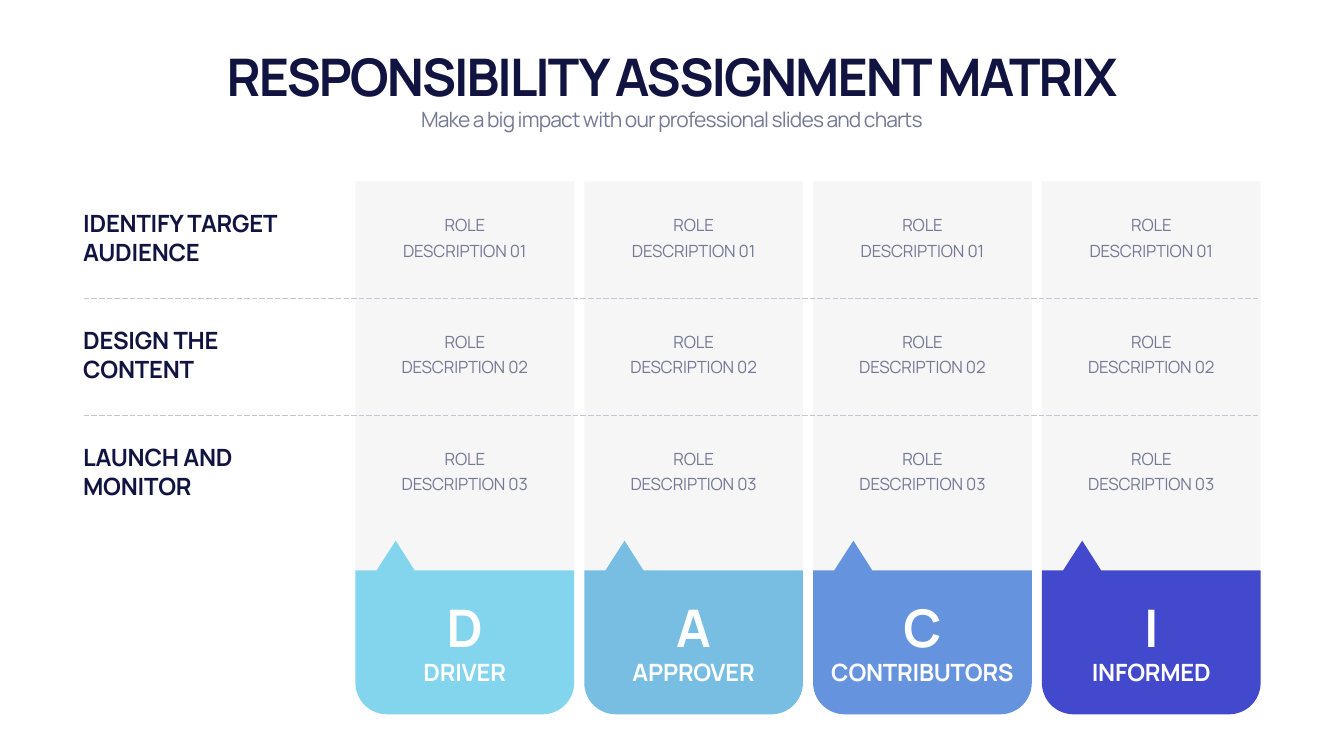
import math

import pptx
import pptx.dml.color
import pptx.enum.dml
import pptx.enum.shapes
import pptx.enum.text
import pptx.oxml
import pptx.oxml.ns
import pptx.util
from pptx.util import Cm

ALIGN = pptx.enum.text.PP_ALIGN
ANCHOR = pptx.enum.text.MSO_ANCHOR

COLORS = {
    "navy": "111340",
    "slate": "747994",
    "grey": "C3C8CE",
    "white": "FFFFFF",
    "driver": "83D5ED",
    "approver": "78BEE3",
    "contributors": "6593DE",
    "informed": "4349CC",
}
ROLES = ["DRIVER", "APPROVER", "CONTRIBUTORS", "INFORMED"]
TASKS = ["IDENTIFY TARGET AUDIENCE", "DESIGN THE CONTENT", "LAUNCH AND MONITOR"]

COLUMN_LEFT, COLUMN_PITCH, COLUMN_WIDTH = 17.91, 11.53, 11.02
PANEL_TOP, PANEL_HEIGHT = 9.14, 19.62
ROW_TOP, ROW_PITCH, ROW_HEIGHT = 10.39, 5.89, 3.18
CARD_TOP, CARD_HEIGHT = 27.25, 8.75


def rgb(name):
    return pptx.dml.color.RGBColor.from_string(COLORS[name])


def write(shape, text, size, color, bold=False, spacing=0.0, align=ALIGN.CENTER,
          anchor=ANCHOR.MIDDLE, line_spacing=None):
    """Fill a shape with one formatted paragraph; spacing is in points."""
    frame = shape.text_frame
    frame.word_wrap = True
    frame.auto_size = pptx.enum.text.MSO_AUTO_SIZE.NONE
    frame.vertical_anchor = anchor
    paragraph = frame.paragraphs[0]
    run = paragraph.add_run()
    run.text = text
    run._r.get_or_add_rPr().set("spc", str(round(spacing * 100)))
    paragraph.alignment = align
    if line_spacing:
        paragraph.line_spacing = pptx.util.Pt(line_spacing)
    paragraph.font.name = "Manrope"
    paragraph.font.size = pptx.util.Pt(size)
    paragraph.font.bold = bold
    paragraph.font.color.rgb = rgb(color)


def add_text(slide, left, top, width, height, text, size, color, **style):
    box = slide.shapes.add_textbox(Cm(left), Cm(top), Cm(width), Cm(height))
    write(box, text, size, color, **style)


def paint(shape, color):
    shape.shadow.inherit = False
    shape.fill.solid()
    shape.fill.fore_color.rgb = rgb(color)
    shape.line.fill.background()


def add_heading(slide, left, top, width):
    title = slide.shapes.title
    title.left, title.top, title.width, title.height = (
        Cm(left), Cm(top), Cm(width), Cm(3.43))
    write(title, "RESPONSIBILITY ASSIGNMENT MATRIX", 74, "navy", bold=True,
          spacing=-2.9, anchor=ANCHOR.BOTTOM)
    add_text(slide, left, top + 3.18, width, 1.55,
             "Make a big impact with our professional slides and charts",
             30, "slate", spacing=-1.2, anchor=ANCHOR.TOP)


def add_panel(slide, left, top, width, height):
    panel = slide.shapes.add_shape(pptx.enum.shapes.MSO_SHAPE.RECTANGLE,
                                   Cm(left), Cm(top), Cm(width), Cm(height))
    paint(panel, "grey")
    srgb = panel._element.spPr.find(".//" + pptx.oxml.ns.qn("a:srgbClr"))
    alpha = pptx.oxml.parse_xml(
        f'<a:alpha {pptx.oxml.ns.nsdecls("a")} val="15000"/>')
    srgb.append(alpha)


def add_role_card(slide, left, top, width, height, role):
    """Card with a pointer on its top edge and rounded bottom corners."""
    shoulder, radius, steps = 1.49, 1.59, 16
    outline = [(1.07, shoulder), (2.03, 0), (2.98, shoulder), (width, shoulder)]
    for corner_x, start in ((width - radius, 0), (radius, 90)):
        for step in range(steps + 1):
            angle = math.radians(start + 90 * step / steps)
            outline.append((corner_x + radius * math.cos(angle),
                            height - radius + radius * math.sin(angle)))
    outline.append((0, shoulder))
    points = [(Cm(left + x), Cm(top + y)) for x, y in outline]
    builder = slide.shapes.build_freeform(*points[0])
    builder.add_line_segments(points[1:], close=True)
    paint(builder.convert_to_shape(), role.lower())

    inset = 0.5
    text_width = width - 2 * inset
    add_text(slide, left + inset, top + 2.59, text_width, 3.43, role[0], 74,
             "white", bold=True, spacing=-2.9, anchor=ANCHOR.BOTTOM)
    add_text(slide, left + inset, top + 5.77, text_width, 1.7, role, 34,
             "white", bold=True, spacing=-0.3)


def add_task_row(slide, top, height, number, task):
    add_text(slide, 3.94, top, 11.71, height, task, 34, "navy", bold=True,
             spacing=-0.3, align=ALIGN.LEFT)
    inset = 1.63
    for column in range(len(ROLES)):
        add_text(slide, COLUMN_LEFT + column * COLUMN_PITCH + inset, top + 0.08,
                 COLUMN_WIDTH - 2 * inset, 2.77, f"ROLE DESCRIPTION {number:02}",
                 24, "slate", spacing=-0.2, line_spacing=36)


def add_divider(slide, left, right, y):
    divider = slide.shapes.add_connector(
        pptx.enum.shapes.MSO_CONNECTOR.STRAIGHT, Cm(left), Cm(y), Cm(right), Cm(y))
    divider.line.color.rgb = rgb("grey")
    divider.line.width = pptx.util.Pt(1)
    divider.line.dash_style = pptx.enum.dml.MSO_LINE.LONG_DASH
    divider._element.spPr.append(pptx.oxml.parse_xml(
        f'<a:effectLst {pptx.oxml.ns.nsdecls("a")}/>'))


def main():
    presentation = pptx.Presentation()
    presentation.slide_width, presentation.slide_height = Cm(67.72), Cm(38.1)
    slide = presentation.slides.add_slide(presentation.slide_layouts[5])

    add_heading(slide, 4.22, 2.08, 59.26)
    for column, role in enumerate(ROLES):
        left = COLUMN_LEFT + column * COLUMN_PITCH
        add_panel(slide, left, PANEL_TOP, COLUMN_WIDTH, PANEL_HEIGHT)
        add_role_card(slide, left, CARD_TOP, COLUMN_WIDTH, CARD_HEIGHT, role)
    for row, task in enumerate(TASKS):
        top = ROW_TOP + row * ROW_PITCH
        add_task_row(slide, top, ROW_HEIGHT, row + 1, task)
        if row < len(TASKS) - 1:
            add_divider(slide, 4.22, 63.5, top + 4.63)

    presentation.save("out.pptx")


if __name__ == "__main__":
    main()
